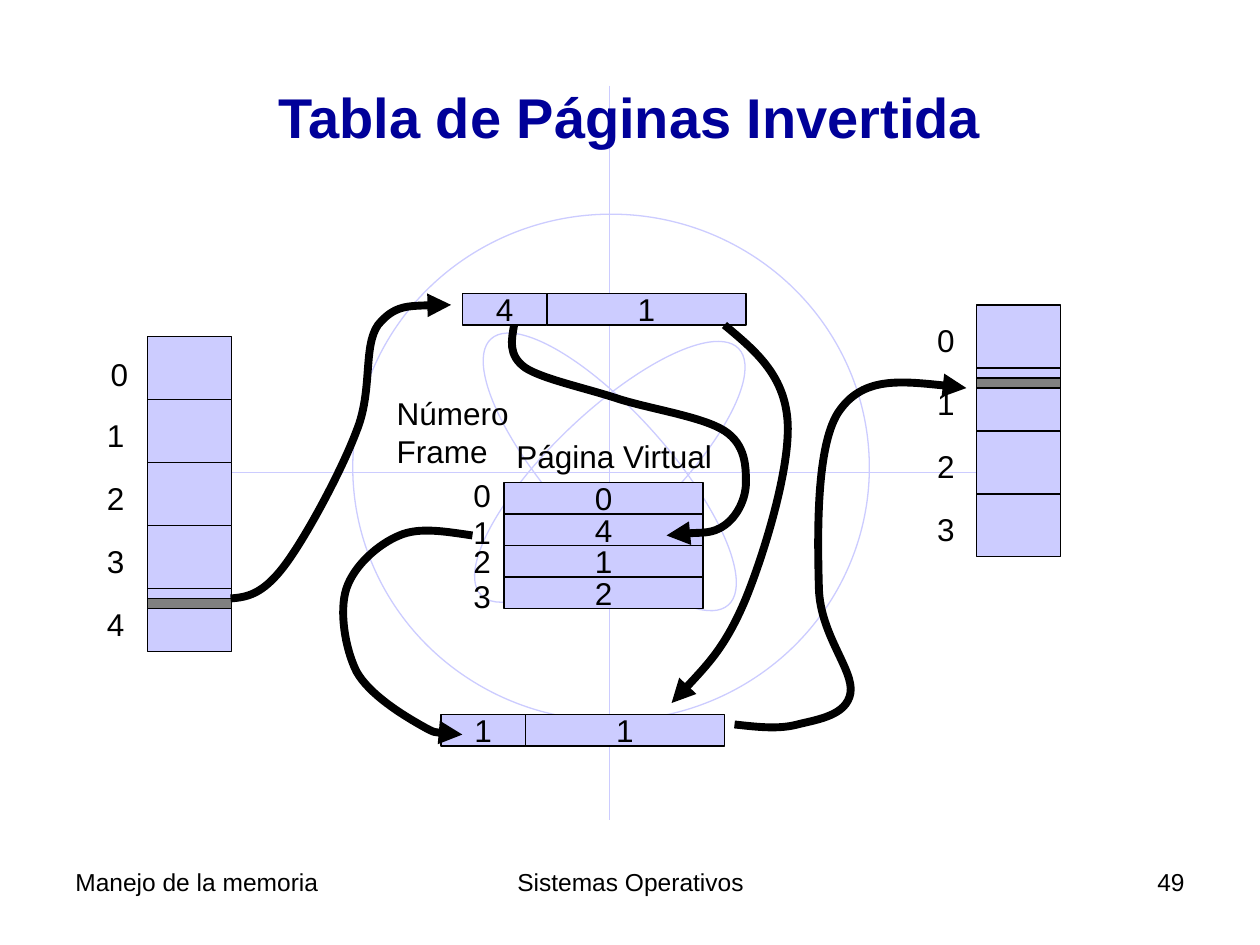
from lxml import etree
from pptx import Presentation
from pptx.dml.color import RGBColor
from pptx.enum.shapes import MSO_CONNECTOR, MSO_SHAPE
from pptx.enum.text import MSO_ANCHOR, MSO_AUTO_SIZE, PP_ALIGN
from pptx.oxml.ns import qn
from pptx.util import Cm, Pt

STRAIGHT = MSO_CONNECTOR.STRAIGHT
RECTANGLE, OVAL = MSO_SHAPE.RECTANGLE, MSO_SHAPE.OVAL
MIDDLE, TOP = MSO_ANCHOR.MIDDLE, MSO_ANCHOR.TOP
LEFT, CENTER, RIGHT = PP_ALIGN.LEFT, PP_ALIGN.CENTER, PP_ALIGN.RIGHT
FIT_SHAPE = MSO_AUTO_SIZE.SHAPE_TO_FIT_TEXT

FONT = "Arial"
COLORS = {"title": "000099", "ink": "000000", "cell": "CCCCFF", "word": "808080"}
FRAME_WIDTH, FRAME_HEIGHT = 0.67, 0.5
ENTRY_WIDTH, ENTRY_HEIGHT = 1.58, 0.25

# Each curve: start point, then two control points and an end point per segment
CURVES = [
    # Page number of the virtual address to its table entry
    [(4.08, 2.58), (4.06, 2.7), (4.03, 2.82), (4.17, 2.92),
     (4.31, 3.01), (4.65, 3.08), (4.92, 3.17),
     (5.18, 3.25), (5.58, 3.31), (5.75, 3.42),
     (5.92, 3.53), (5.92, 3.71), (5.92, 3.83),
     (5.92, 3.96), (5.85, 4.1), (5.75, 4.17),
     (5.65, 4.24), (5.38, 4.23), (5.29, 4.25)],
    # Frame number to the physical address
    [(3.75, 4.25), (3.54, 4.22), (3.33, 4.18), (3.17, 4.25),
     (3, 4.32), (2.81, 4.49), (2.75, 4.67),
     (2.69, 4.85), (2.74, 5.15), (2.83, 5.33),
     (2.93, 5.51), (3.19, 5.67), (3.33, 5.75),
     (3.47, 5.83), (3.57, 5.83), (3.67, 5.83)],
    # Physical address to the word in memory
    [(5.83, 5.75), (6.01, 5.77), (6.18, 5.79), (6.33, 5.75),
     (6.49, 5.71), (6.72, 5.68), (6.75, 5.5),
     (6.78, 5.32), (6.51, 5.04), (6.5, 4.67),
     (6.49, 4.29), (6.47, 3.51), (6.67, 3.25),
     (6.86, 2.99), (7.26, 3.03), (7.67, 3.08)],
    # Word in the process to its virtual address
    [(1.83, 4.75), (1.96, 4.74), (2.08, 4.72), (2.25, 4.5),
     (2.42, 4.28), (2.71, 3.74), (2.83, 3.42),
     (2.96, 3.1), (2.88, 2.75), (3, 2.58),
     (3.13, 2.42), (3.35, 2.42), (3.58, 2.42)],
    # Offset, unchanged
    [(5.75, 2.58), (5.99, 2.78), (6.22, 2.97), (6.25, 3.33),
     (6.28, 3.69), (6.07, 4.38), (5.92, 4.75),
     (5.76, 5.13), (5.55, 5.35), (5.33, 5.58)],
]


def inches(*values):
    return [Cm(value * 2.54) for value in values]


def color(name):
    return RGBColor.from_string(COLORS[name])


def write(frame, text, size=18, align=LEFT, anchor=TOP, wrap=False,
          bold=False, ink="ink"):
    frame.word_wrap = wrap
    frame.vertical_anchor = anchor
    for index, words in enumerate(text.split("\n")):
        para = frame.paragraphs[0] if index == 0 else frame.add_paragraph()
        para.alignment = align
        span = para.add_run()
        span.text = words
        span.font.name, span.font.size, span.font.bold = FONT, Pt(size), bold
        span.font.color.rgb = color(ink)


def add_text(page, text, left, top, width, height, **style):
    box = page.shapes.add_textbox(*inches(left, top, width, height))
    write(box.text_frame, text, **style)
    return box


def add_label(page, text, left, top, width=0.34, height=0.4):
    box = add_text(page, text, left, top, width, height)
    box.text_frame.auto_size = FIT_SHAPE


def add_cell(page, left, top, width, height, text="", fill="cell"):
    cell = page.shapes.add_shape(RECTANGLE, *inches(left, top, width, height))
    cell.shadow.inherit = False
    cell.fill.solid()
    cell.fill.fore_color.rgb = color(fill)
    cell.line.color.rgb = color("ink")
    cell.line.width = Pt(0.75)
    if text:
        write(cell.text_frame, text, align=CENTER, anchor=MIDDLE)


def add_memory(page, left, top, count, word_top):
    for row in range(count):
        add_cell(page, left, top + row * FRAME_HEIGHT, FRAME_WIDTH, FRAME_HEIGHT)
    add_cell(page, left, word_top, FRAME_WIDTH, 0.08, fill="word")


def add_address(page, left, top, number, offset):
    add_cell(page, left + FRAME_WIDTH, top, ENTRY_WIDTH, ENTRY_HEIGHT, offset)
    add_cell(page, left, top, FRAME_WIDTH, ENTRY_HEIGHT, number)


def add_curve(page, points):
    start, *rest = [inches(*point) for point in points]
    builder = page.shapes.build_freeform(*start)
    builder.add_line_segments(rest, close=False)
    curve = builder.convert_to_shape()
    curve.shadow.inherit = False
    curve.fill.background()
    curve.line.color.rgb = color("ink")
    curve.line.width = Pt(4.5)
    # Join every three straight steps into one Bézier segment
    steps = list(curve.element.iter(qn("a:lnTo")))
    for first in range(0, len(steps), 3):
        bezier = etree.Element(qn("a:cubicBezTo"))
        steps[first].addprevious(bezier)
        for step in steps[first:first + 3]:
            bezier.append(step[0])
            step.getparent().remove(step)
    outline = curve.line._get_or_add_ln()
    etree.SubElement(outline, qn("a:round"))
    etree.SubElement(outline, qn("a:tailEnd"), type="triangle")


def add_backdrop(page):
    group = page.shapes.add_group_shape().shapes
    for ends in [(4.84, 0.68, 4.84, 6.51), (1.46, 3.75, 8.23, 3.75)]:
        axis = group.add_connector(STRAIGHT, *inches(*ends))
        etree.SubElement(axis.element.spPr, qn("a:effectLst"))
        axis.line.color.rgb = color("cell")
        axis.line.width = Pt(0.75)
    orbit = (4.37, 2.33, 0.94, 2.83)
    for place, angle in [((2.8, 1.7, 4.1, 4.02), 0), (orbit, 46.3), (orbit, 318.3)]:
        ring = group.add_shape(OVAL, *inches(*place))
        ring.shadow.inherit = False
        ring.rotation = angle
        ring.fill.background()
        ring.line.color.rgb = color("cell")
        ring.line.width = Pt(0.75)


def main():
    deck = Presentation()
    deck.slide_width, deck.slide_height = inches(10, 7.5)
    page = deck.slides.add_slide(deck.slide_layouts[6])

    add_backdrop(page)
    add_text(page, "Tabla de Páginas Invertida", 0.5, 0.3, 9, 1.25, size=32,
             align=CENTER, anchor=MIDDLE, wrap=True, bold=True, ink="title")

    # Inverted page table
    for row, number in enumerate("0412"):
        add_cell(page, 4, 3.83 + row * ENTRY_HEIGHT, ENTRY_WIDTH, ENTRY_HEIGHT, number)
    for row, top in enumerate([3.73, 4.02, 4.25, 4.53]):
        add_label(page, str(row), 3.66, top)
    add_label(page, "Número\nFrame", 3.05, 3.08, 1.09, 0.7)
    add_label(page, "Página Virtual", 4, 3.42, 1.75)

    # Process pages on the left, physical memory on the right
    add_memory(page, 1.17, 2.67, 5, word_top=4.75)
    add_memory(page, 7.75, 2.42, 4, word_top=3)
    add_label(page, "0", 0.78, 2.77)
    for row in range(1, 5):
        add_label(page, str(row), 0.75, 2.75 + row * FRAME_HEIGHT)
    for row in range(4):
        add_label(page, str(row), 7.34, 2.5 + row * FRAME_HEIGHT)

    # Virtual and physical address
    add_address(page, 3.67, 2.33, "4", "1")
    add_address(page, 3.5, 5.67, "1", "1")

    for points in CURVES:
        add_curve(page, points)

    # Footer
    for text, left, width, align in [("Sistemas Operativos", 3.42, 3.17, CENTER),
                                     ("49", 7.17, 2.33, RIGHT),
                                     ("Manejo de la memoria", 0.5, 2.33, LEFT)]:
        add_text(page, text, left, 6.83, width, 0.52, size=14, align=align, wrap=True)

    deck.save("out.pptx")


if __name__ == "__main__":
    main()
